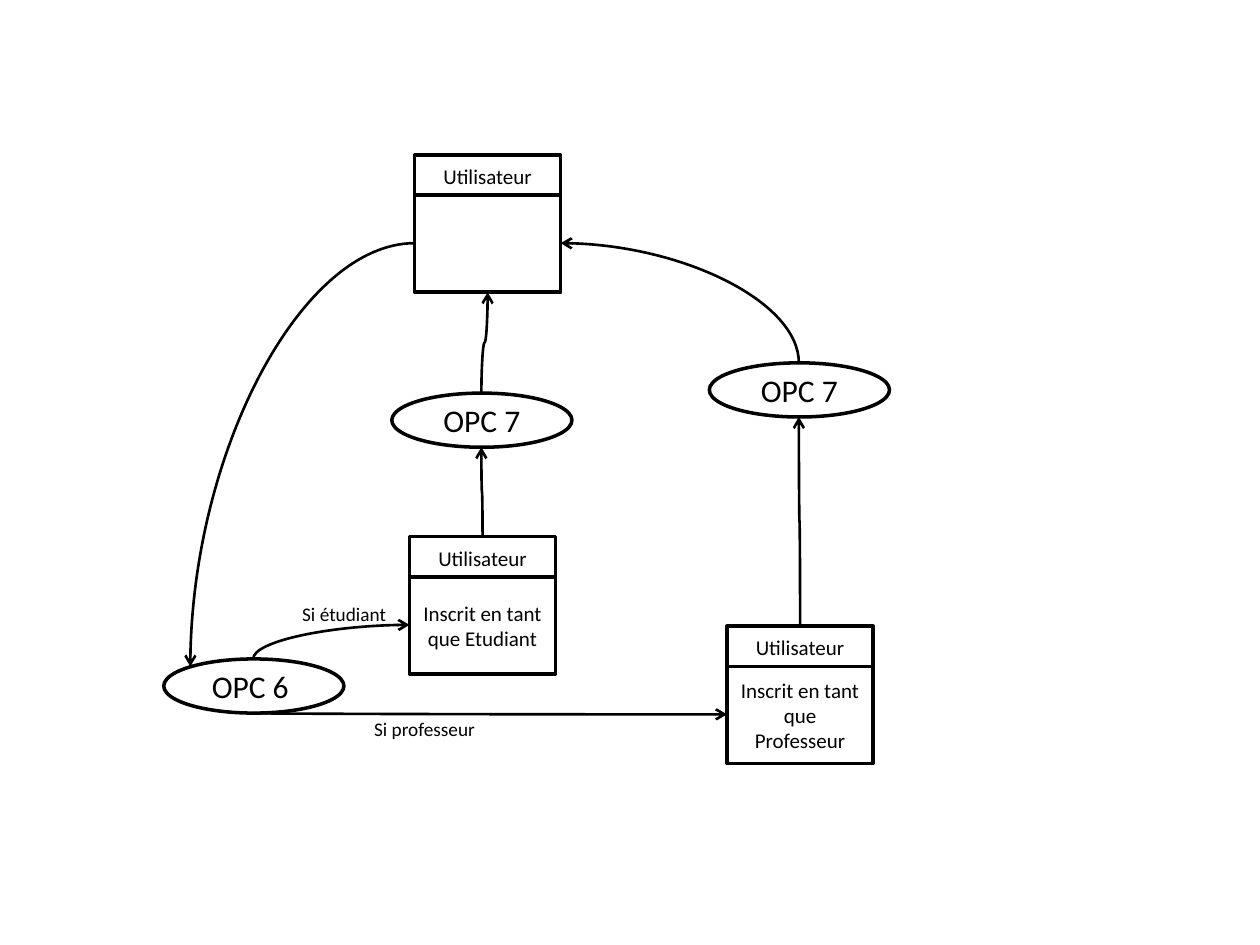
from pptx import Presentation
from pptx.dml.color import RGBColor
from pptx.enum.shapes import MSO_CONNECTOR as Link, MSO_SHAPE as Shape
from pptx.enum.text import MSO_ANCHOR as Anchor, PP_ALIGN as Align
from pptx.oxml.ns import qn
from pptx.util import Inches, Pt
from lxml.etree import SubElement

COLORS = {"ink": "000000", "paper": "FFFFFF"}
CARD_WIDTH = 1.16
OVAL_WIDTH, OVAL_HEIGHT = 1.43, 0.43


def color(name):
    return RGBColor.from_string(COLORS[name])


def write(frame, text, size, align):
    frame.word_wrap = True
    para = frame.paragraphs[0]
    para.alignment = align
    span = para.add_run()
    span.text = text
    span.font.name = "Calibri"
    span.font.size = Pt(size)
    span.font.color.rgb = color("ink")


def add_box(page, kind, left, top, width, height, text, size):
    box = page.shapes.add_shape(kind, Inches(left), Inches(top), Inches(width), Inches(height))
    box.shadow.inherit = False
    box.fill.solid()
    box.fill.fore_color.rgb = color("paper")
    box.line.color.rgb = color("ink")
    box.line.width = Pt(2)
    if text:
        box.text_frame.vertical_anchor = Anchor.MIDDLE
        write(box.text_frame, text, size, Align.CENTER)


def add_card(page, left, top, state):
    add_box(page, Shape.RECTANGLE, left, top, CARD_WIDTH, 0.34, "Utilisateur", 12)
    add_box(page, Shape.RECTANGLE, left, top + 0.32, CARD_WIDTH, 0.77, state, 12)


def add_operation(page, left, top, text):
    add_box(page, Shape.OVAL, left, top, OVAL_WIDTH, OVAL_HEIGHT, text, 18)


def add_label(page, left, top, width, height, text):
    box = page.shapes.add_textbox(Inches(left), Inches(top), Inches(width), Inches(height))
    write(box.text_frame, text, 11, Align.LEFT)


def add_arrow(page, start, end, preset, starts_vertical=True):
    across, down = end[0] - start[0], end[1] - start[1]
    right, up = across > 0, down < 0
    width, height = abs(across), abs(down)
    if starts_vertical:
        width, height = height, width
        turn, flip_h, flip_v = (90 if right == up else 270), right, up
    else:
        turn, flip_h, flip_v = 180, right, not up
    left = (start[0] + end[0] - width) / 2
    top = (start[1] + end[1] - height) / 2
    arrow = page.shapes.add_connector(
        Link.CURVE, Inches(left), Inches(top), Inches(left + width), Inches(top + height))
    arrow.line.color.rgb = color("ink")
    arrow.line.width = Pt(1.5)
    props = arrow._element.spPr
    props.find(qn("a:prstGeom")).set("prst", preset)
    frame = props.find(qn("a:xfrm"))
    frame.set("rot", str(turn * 60000))
    frame.set("flipH", str(int(flip_h)))
    frame.set("flipV", str(int(flip_v)))
    SubElement(props.find(qn("a:ln")), qn("a:tailEnd"), type="arrow")
    SubElement(props, qn("a:effectLst"))


def add_flow(page):
    for left, top, state in (
        (3.29, 1.23, ""),
        (3.25, 4.26, "Inscrit en tant que Etudiant"),
        (5.77, 4.97, "Inscrit en tant que Professeur"),
    ):
        add_card(page, left, top, state)
    for left, top, text in ((1.3, 5.23, "OPC 6 "), (3.11, 3.12, "OPC 7"), (5.63, 2.88, "OPC 7")):
        add_operation(page, left, top, text)
    add_label(page, 2.3, 4.73, 0.9, 0.47, "Si étudiant")
    add_label(page, 2.87, 5.64, 1.25, 0.31, "Si professeur")
    bend, wave = "curvedConnector2", "curvedConnector3"
    add_arrow(page, (3.29, 1.93), (1.51, 5.29), bend, starts_vertical=False)
    for start, end, preset in (
        ((2.01, 5.23), (3.25, 4.96), bend),
        ((2.01, 5.66), (5.77, 5.67), bend),
        ((6.34, 2.88), (4.45, 1.93), bend),
        ((6.35, 4.97), (6.34, 3.31), wave),
        ((3.83, 4.26), (3.82, 3.55), wave),
        ((3.82, 3.12), (3.87, 2.32), wave),
    ):
        add_arrow(page, start, end, preset)


deck = Presentation()
deck.slide_width, deck.slide_height = Inches(10), Inches(7.5)
add_flow(deck.slides.add_slide(deck.slide_layouts[6]))
deck.save("out.pptx")
